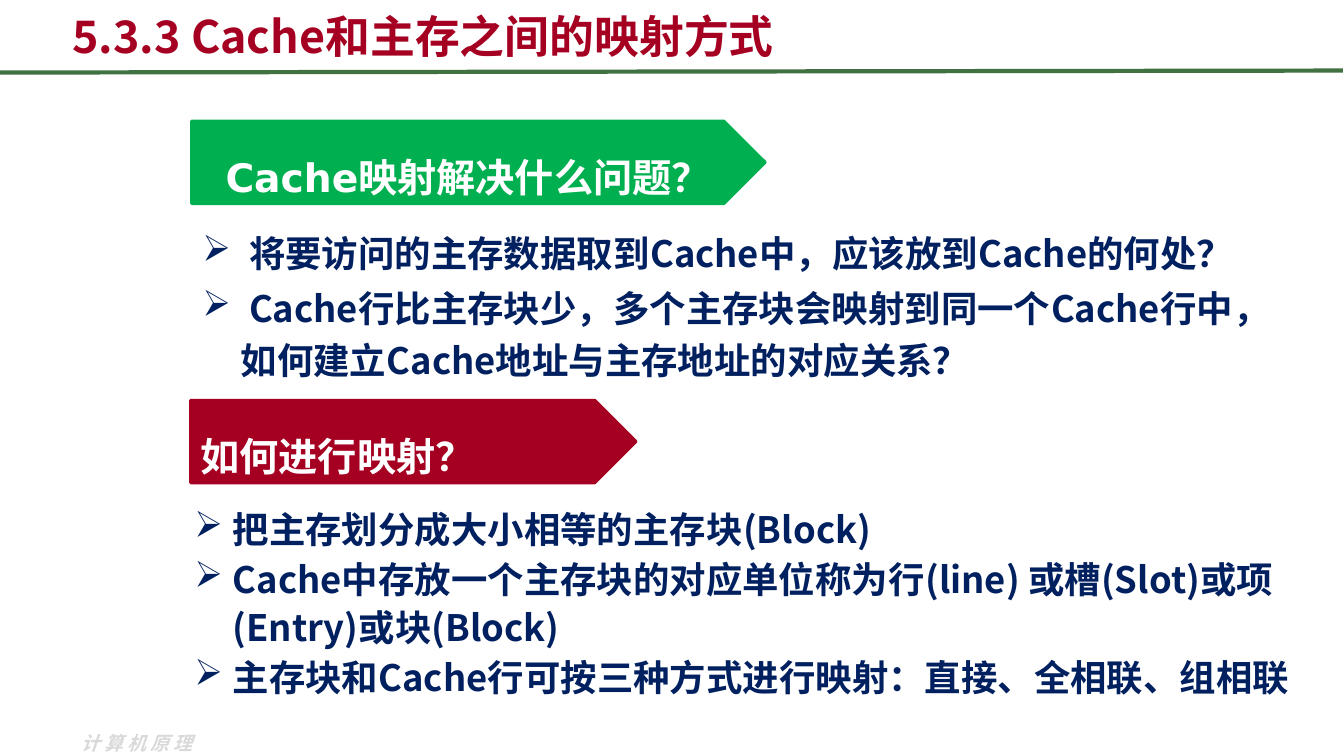
from lxml import etree
from pptx import Presentation
from pptx.dml.color import RGBColor
from pptx.enum.shapes import MSO_CONNECTOR, MSO_SHAPE
from pptx.enum.text import MSO_ANCHOR as Anchor, PP_ALIGN as Align
from pptx.oxml.ns import qn
from pptx.util import Inches, Pt

CJK_FONT = "Noto Sans CJK SC"
NAVY, GREEN, RED = "002060", "00B050", "A50021"


def color(value):
    return RGBColor.from_string(value)


def write(frame, lines, size, shade, spacing=None, font=CJK_FONT, bullet=None):
    frame.word_wrap = True
    for index, line in enumerate(lines):
        para = frame.paragraphs[0] if index == 0 else frame.add_paragraph()
        para.text = line
        if spacing:
            para.line_spacing = spacing
        if index:
            para.space_before = Pt(1.3)
        properties = para._p.get_or_add_pPr()
        if bullet:
            properties.set("marL", str(Inches(0.38)))
            properties.set("indent", str(-Inches(0.38)))
            etree.SubElement(properties, qn("a:buChar"), char=bullet)
        para.font.size = Pt(size)
        para.font.bold = True
        para.font.name = font
        para.font.color.rgb = color(shade)
        latin = properties.find(qn("a:defRPr")).find(qn("a:latin"))
        latin.addnext(etree.Element(qn("a:ea"), typeface=CJK_FONT))


deck = Presentation()
deck.slide_width, deck.slide_height = Inches(13.33), Inches(7.5)
page = deck.slides.add_slide(deck.slide_layouts[6])
shapes = page.shapes

footer = shapes.add_textbox(Inches(0.71), Inches(7.21), Inches(1.46), Inches(0.34))
write(footer.text_frame, ["计算机原理"], 13.5, "D9D9D9")
footer_para = footer.text_frame.paragraphs[0]
footer_para.font.italic = True
footer_para._p.pPr.find(qn("a:defRPr")).set("spc", "300")

rule = shapes.add_connector(
    MSO_CONNECTOR.STRAIGHT, Inches(0), Inches(0.72), Inches(13.32), Inches(0.7)
)
rule.line.color.rgb = color("3F7141")
rule.line.width = Pt(3)
etree.SubElement(rule._element.spPr, qn("a:effectLst"))

title = shapes.add_textbox(Inches(0.62), Inches(0), Inches(12), Inches(0.67))
title.text_frame.vertical_anchor = Anchor.BOTTOM
write(title.text_frame, ["5.3.3 Cache和主存之间的映射方式"], 32, RED)

banners = [
    ("Cache映射解决什么问题？", 1.9, 1.2, 5.69, GREEN, Align.CENTER),
    ("如何进行映射？", 1.89, 3.97, 4.42, RED, Align.LEFT),
]
for text, left, top, width, fill, align in banners:
    banner = shapes.add_shape(
        MSO_SHAPE.PENTAGON, Inches(left), Inches(top), Inches(width), Inches(0.82)
    )
    banner.shadow.inherit = False
    banner.fill.solid()
    banner.fill.fore_color.rgb = color(fill)
    banner.line.color.rgb = color(fill)
    banner.line.width = Pt(2)
    banner.text_frame.vertical_anchor = Anchor.MIDDLE
    write(banner.text_frame, [text], 28, "FFFFFF", 1.6, "DejaVu Sans")
    banner.text_frame.paragraphs[0].alignment = align

questions = [
    " 将要访问的主存数据取到Cache中，应该放到Cache的何处？",
    " Cache行比主存块少，多个主存块会映射到同一个Cache行中，如何建立Cache地址与主存地址的对应关系？",
]
answers = [
    "把主存划分成大小相等的主存块(Block)",
    "Cache中存放一个主存块的对应单位称为行(line) 或槽(Slot)或项(Entry)或块(Block)",
    "主存块和Cache行可按三种方式进行映射：直接、全相联、组相联",
]
for lines, left, top, width, height, spacing in [
    (questions, 1.91, 2.16, 11.1, 2.19, 1.2),
    (answers, 1.83, 4.94, 11.5, 2.57, 1.1),
]:
    box = shapes.add_textbox(Inches(left), Inches(top), Inches(width), Inches(height))
    write(box.text_frame, lines, 26, NAVY, spacing, bullet="➢")

deck.save("out.pptx")
